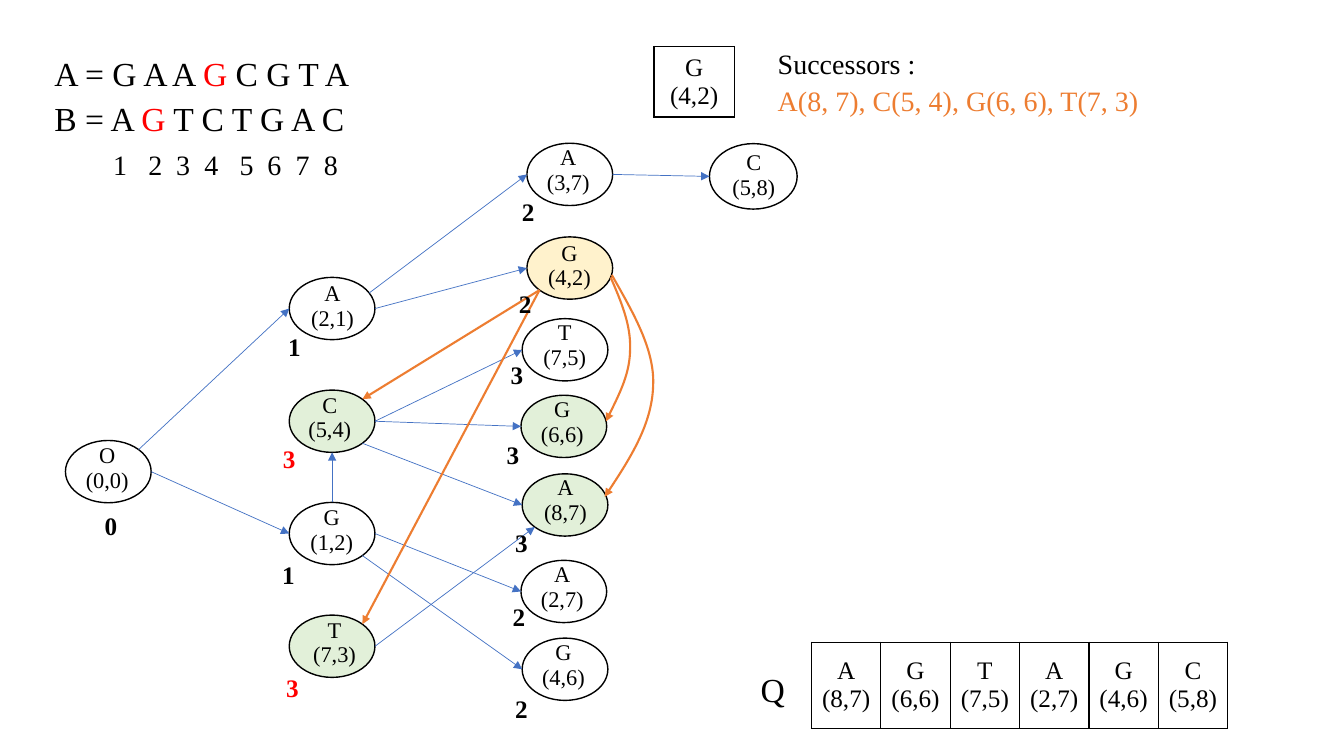
from math import cos, radians, sin

from lxml.etree import SubElement
from pptx import Presentation
from pptx.dml.color import RGBColor
from pptx.enum.shapes import MSO_CONNECTOR as Connector, MSO_SHAPE as Shape
from pptx.enum.text import MSO_ANCHOR as Anchor, PP_ALIGN as Align
from pptx.oxml.ns import qn
from pptx.util import Cm, Pt

COLORS = {"black": "000000", "red": "FF0000", "green": "E2F0D9", "yellow": "FFF2CC",
          "blue": "4472C4", "orange": "ED7D31"}
FONT = "Times New Roman"

# Lengths are centimetres.
NODE_SIZE = (2.16, 1.57)
LABEL_SIZE = (1.68, 1.6)
COST_SIZE = (0.84, 1.02)

# name: left, top, fill, label shift from the node centre, cost (text, left, top, color)
NODES = {
    "O(0,0)": (1.65, 11.1, None, (-0.03, -0.09), ("0", 2.39, 12.67, "black")),
    "A(2,1)": (7.29, 6.99, None, (0.01, -0.06), ("1", 7.01, 8.15, "black")),
    "C(5,4)": (7.29, 9.83, "green", (-0.06, -0.09), ("3", 6.88, 10.97, "red")),
    "G(1,2)": (7.29, 12.66, None, (-0.01, -0.09), ("1", 6.86, 13.89, "black")),
    "T(7,3)": (7.29, 15.5, "green", (0.06, -0.09), ("3", 6.96, 16.74, "red")),
    "A(3,7)": (13.28, 3.61, None, (-0.04, -0.11), ("2", 12.9, 4.75, "black")),
    "G(4,2)": (13.28, 5.97, "yellow", (-0.01, -0.06), ("2", 12.83, 7.06, "black")),
    "T(7,5)": (13.16, 8.03, None, (-0.01, -0.11), ("3", 12.62, 8.86, "black")),
    "G(6,6)": (13.13, 9.96, "green", (-0.04, -0.11), ("3", 12.52, 10.87, "black")),
    "A(8,7)": (13.16, 11.94, "green", (0.01, -0.11), ("3", 12.73, 13.08, "black")),
    "A(2,7)": (13.13, 14.12, None, (-0.04, -0.11), ("2", 12.67, 14.94, "black")),
    "G(4,6)": (13.16, 16.08, None, (-0.04, -0.11), ("2", 12.73, 17.27, "black")),
    "C(5,8)": (17.88, 3.62, None, (0.01, -0.03), None),
}
WIDER_NODES = {"C(5,8)": (2.21, 1.65)}

# start node, angle where the arrow leaves, end node, angle where it arrives
EDGES = [
    ("O(0,0)", 45, "A(2,1)", 180), ("O(0,0)", 0, "G(1,2)", 180),
    ("A(2,1)", 30, "A(3,7)", 180), ("A(2,1)", 0, "G(4,2)", 180),
    ("C(5,4)", 0, "T(7,5)", 180), ("C(5,4)", 0, "G(6,6)", 180),
    ("C(5,4)", 315, "A(8,7)", 180), ("G(1,2)", 90, "C(5,4)", 270),
    ("G(1,2)", 0, "A(2,7)", 180), ("G(1,2)", 315, "G(4,6)", 180),
    ("T(7,3)", 0, "A(8,7)", 225), ("A(3,7)", 0, "C(5,8)", 180),
]
SUCCESSOR_EDGES = [("G(4,2)", 225, "C(5,4)", 45), ("G(4,2)", 225, "T(7,3)", 45)]
# start point, then three points for each Bézier segment
SUCCESSOR_CURVES = [
    [(15.42, 6.93), (15.95, 7.87), (16.51, 8.81), (16.46, 9.73),
     (16.43, 10.67), (15.85, 11.61), (15.24, 12.52)],
    [(15.39, 6.99), (15.65, 7.59), (15.9, 8.18), (15.88, 8.79),
     (15.88, 9.4), (15.57, 10.01), (15.27, 10.62)],
]

QUEUE = ["A(8,7)", "G(6,6)", "T(7,5)", "A(2,7)", "G(4,6)", "C(5,8)"]
INDEX_TABS = [1.48, 2.37, 3.07, 3.78, 4.67, 5.37, 6.08, 6.79]
# left, top, width, height, paragraphs of (text, size, color)
TEXTS = [
    (1.12, 1.12, 8.23, 3.33, [
        [("A = G A A ", 24, "black"), ("G", 24, "red"), (" C G T A", 24, "black")],
        [("B = A ", 24, "black"), ("G", 24, "red"), (" T C T G A C", 24, "black")],
        [("\t", 24, "black"), ("1\t2\t3\t4\t5\t6\t7\t8", 20, "black")],
    ]),
    (19.35, 0.97, 10.36, 2.82, [
        [("Successors :", 20, "black")],
        [("A(8, 7), C(5, 4), G(6, 6), T(7, 3)", 20, "orange")],
    ]),
    (18.92, 16.64, 1.04, 1.27, [[("Q", 24, "black")]]),
]


def rgb(name):
    return RGBColor.from_string(COLORS[name])


def add_run(para, text, size, color, bold=False):
    span = para.add_run()
    span.text = text
    span.font.name, span.font.size, span.font.bold = FONT, Pt(size), bold
    span.font.color.rgb = rgb(color)


def add_text(page, left, top, width, height, paragraphs, bold=False):
    frame = page.shapes.add_textbox(Cm(left), Cm(top), Cm(width), Cm(height)).text_frame
    frame.word_wrap = True
    for number, runs in enumerate(paragraphs):
        para = frame.add_paragraph() if number else frame.paragraphs[0]
        para.line_spacing = 1.1
        if runs[0][0] == "\t":
            tabs = SubElement(para._p.get_or_add_pPr(), qn("a:tabLst"))
            for stop in INDEX_TABS:
                SubElement(tabs, qn("a:tab"), pos=str(Cm(stop)), algn="l")
        for text, size, color in runs:
            add_run(para, text, size, color, bold)


def set_borders(cell, visible):
    properties = cell._tc.get_or_add_tcPr()
    for position, side in enumerate(("a:lnL", "a:lnR", "a:lnT", "a:lnB")):
        border = SubElement(properties, qn(side), w=str(Pt(1)))
        if visible:
            fill = SubElement(border, qn("a:solidFill"))
            SubElement(fill, qn("a:srgbClr"), val=COLORS["black"])
        else:
            SubElement(border, qn("a:noFill"))
        properties.insert(position, border)


def add_cells(page, left, top, width, height, names, size, bordered):
    """Add a one-row table with letter and position of each name on two lines."""
    frame = page.shapes.add_table(1, len(names), Cm(left), Cm(top), Cm(width), Cm(height))
    table = frame.table
    table.first_row = table.horz_banding = False
    for cell, name in zip(table.rows[0].cells, names):
        cell.fill.background()
        set_borders(cell, bordered)
        cell.vertical_anchor = Anchor.MIDDLE
        cell.margin_left = cell.margin_right = 0
        paragraphs = [cell.text_frame.paragraphs[0], cell.text_frame.add_paragraph()]
        for para, text in zip(paragraphs, (name[0], name[1:])):
            para.alignment = Align.CENTER
            add_run(para, text, size, "black")


def add_node(page, name):
    left, top, fill, (shift_x, shift_y), _ = NODES[name]
    width, height = WIDER_NODES.get(name, NODE_SIZE)
    node = page.shapes.add_shape(Shape.OVAL, Cm(left), Cm(top), Cm(width), Cm(height))
    node.shadow.inherit = False
    if fill:
        node.fill.solid()
        node.fill.fore_color.rgb = rgb(fill)
    else:
        node.fill.background()
    node.line.color.rgb, node.line.width = rgb("black"), Pt(1)
    label_width, label_height = LABEL_SIZE
    add_cells(page, left + (width - label_width) / 2 + shift_x,
              top + (height - label_height) / 2 + shift_y,
              label_width, label_height, [name], 16, False)
    return node


def rim_point(node, angle):
    turn = radians(angle)
    return (round(node.left + node.width / 2 * (1 + cos(turn))),
            round(node.top + node.height / 2 * (1 - sin(turn))))


def style_arrow(arrow, color, width):
    arrow.line.color.rgb, arrow.line.width = rgb(color), Pt(width)
    properties = arrow._element.spPr
    SubElement(properties.find(qn("a:ln")), qn("a:tailEnd"), type="triangle")
    SubElement(properties, qn("a:effectLst"))


def add_edge(page, nodes, edge, color, width):
    start, start_angle, end, end_angle = edge
    arrow = page.shapes.add_connector(Connector.STRAIGHT,
                                      *rim_point(nodes[start], start_angle),
                                      *rim_point(nodes[end], end_angle))
    style_arrow(arrow, color, width)
    joints = arrow._element.nvCxnSpPr.cNvCxnSpPr
    for tag, name, angle in (("a:stCxn", start, start_angle), ("a:endCxn", end, end_angle)):
        if angle % 45 == 0:  # an oval has a connection site every 45°, from the top
            SubElement(joints, qn(tag), id=str(nodes[name].shape_id),
                       idx=str((angle - 90) // 45 % 8))


def add_curve(page, points, color, width):
    start, *rest = [(Cm(x), Cm(y)) for x, y in points]
    builder = page.shapes.build_freeform(*start)
    builder.add_line_segments(rest, close=False)
    curve = builder.convert_to_shape()
    curve.fill.background()
    outline = next(curve._element.iter(qn("a:path")))
    lines = outline.findall(qn("a:lnTo"))
    for first in range(0, len(lines), 3):
        bezier = SubElement(outline, qn("a:cubicBezTo"))
        for line in lines[first:first + 3]:
            bezier.append(line[0])
            outline.remove(line)
    style_arrow(curve, color, width)


def main():
    deck = Presentation()
    deck.slide_width, deck.slide_height = Cm(33.87), Cm(19.05)
    page = deck.slides.add_slide(deck.slide_layouts[6])
    for text in TEXTS:
        add_text(page, *text)
    add_cells(page, 16.48, 1.17, 2.03, 1.78, ["G(4,2)"], 18, True)
    add_cells(page, 20.45, 16.18, 10.49, 2.18, QUEUE, 18, True)
    nodes = {name: add_node(page, name) for name in NODES}
    for edge in EDGES:
        add_edge(page, nodes, edge, "blue", 0.5)
    for edge in SUCCESSOR_EDGES:
        add_edge(page, nodes, edge, "orange", 1.5)
    for points in SUCCESSOR_CURVES:
        add_curve(page, points, "orange", 1.5)
    for *_, cost in NODES.values():
        if cost:
            text, left, top, color = cost
            add_text(page, left, top, *COST_SIZE, [[(text, 18, color)]], bold=True)
    deck.save("out.pptx")


if __name__ == "__main__":
    main()
